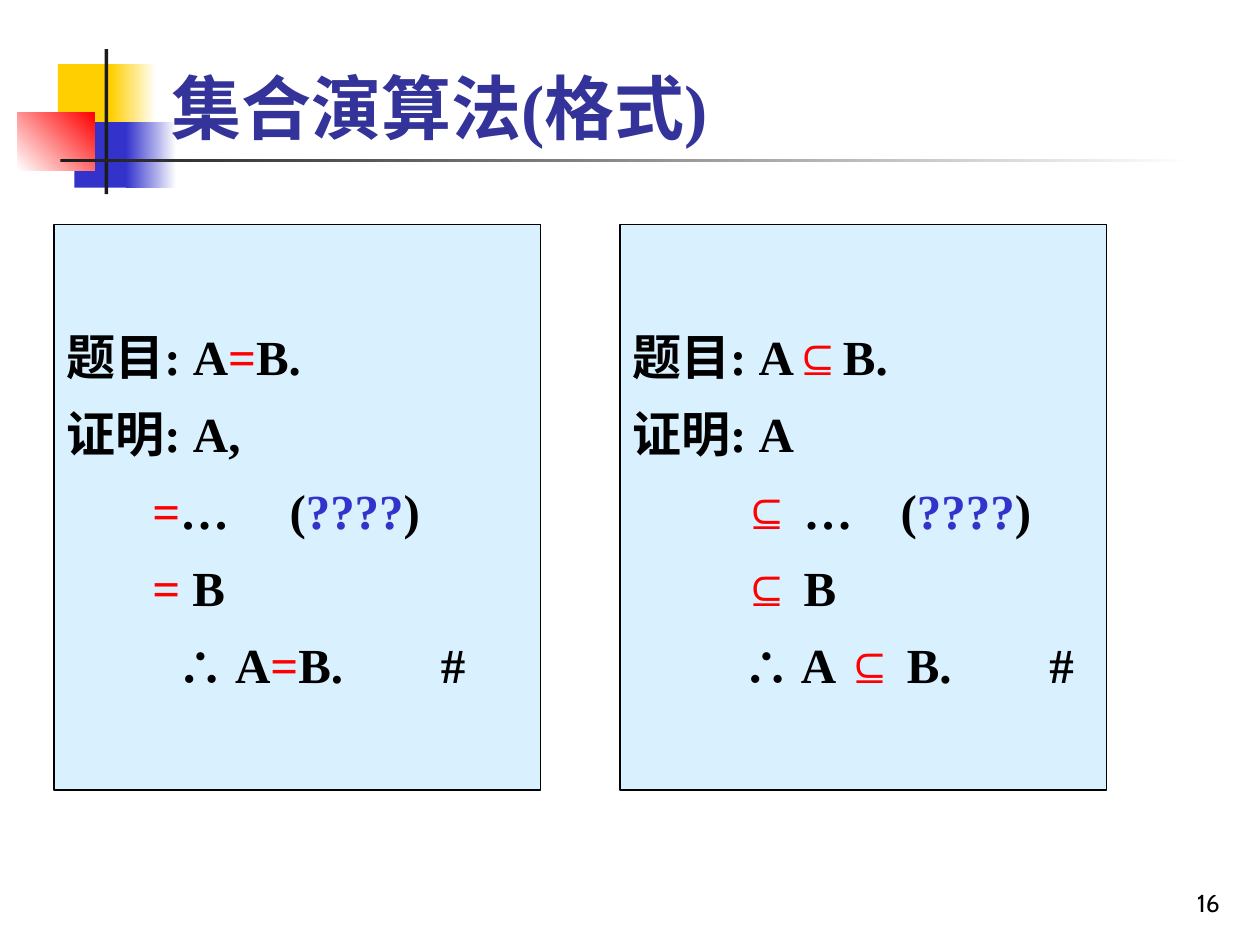
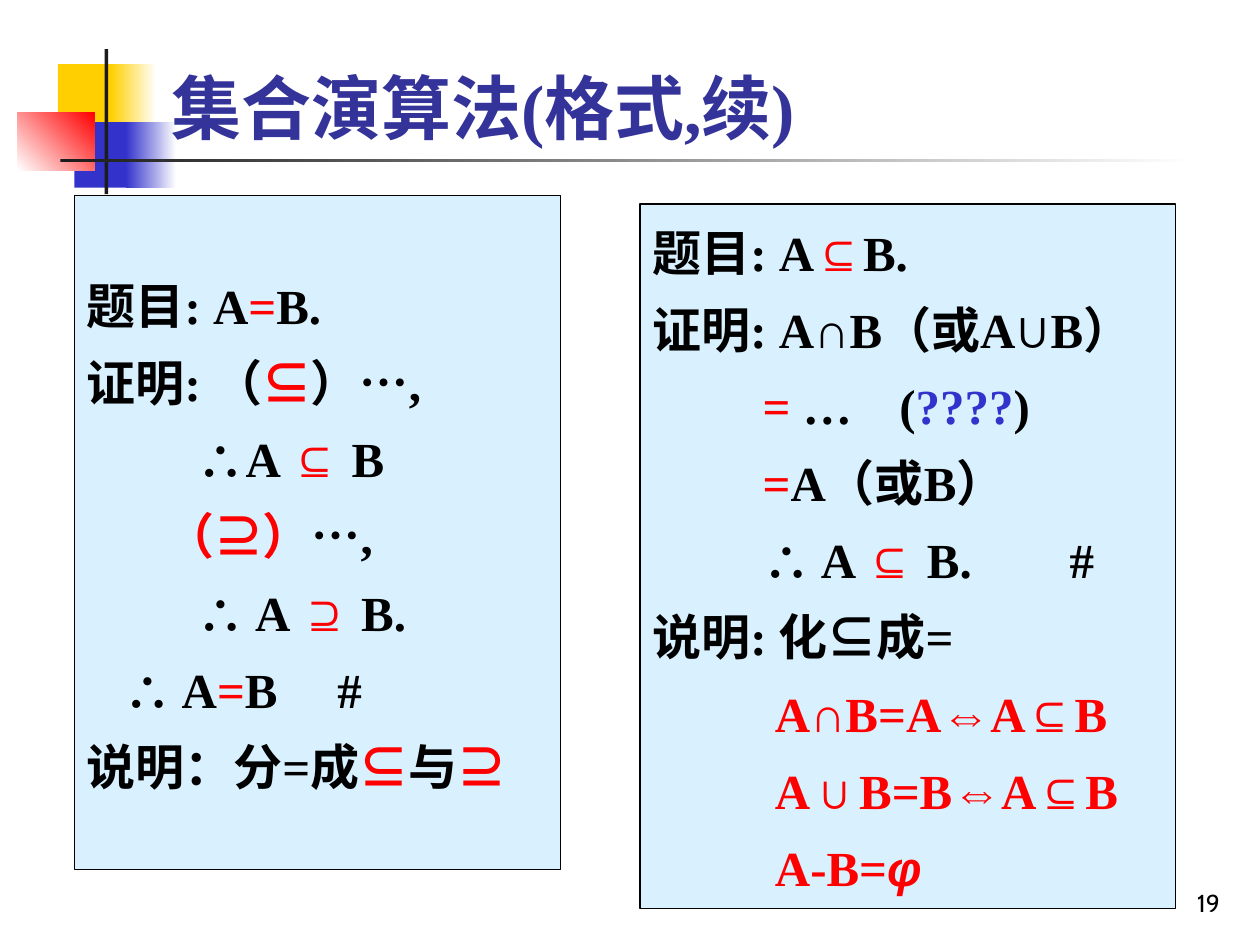
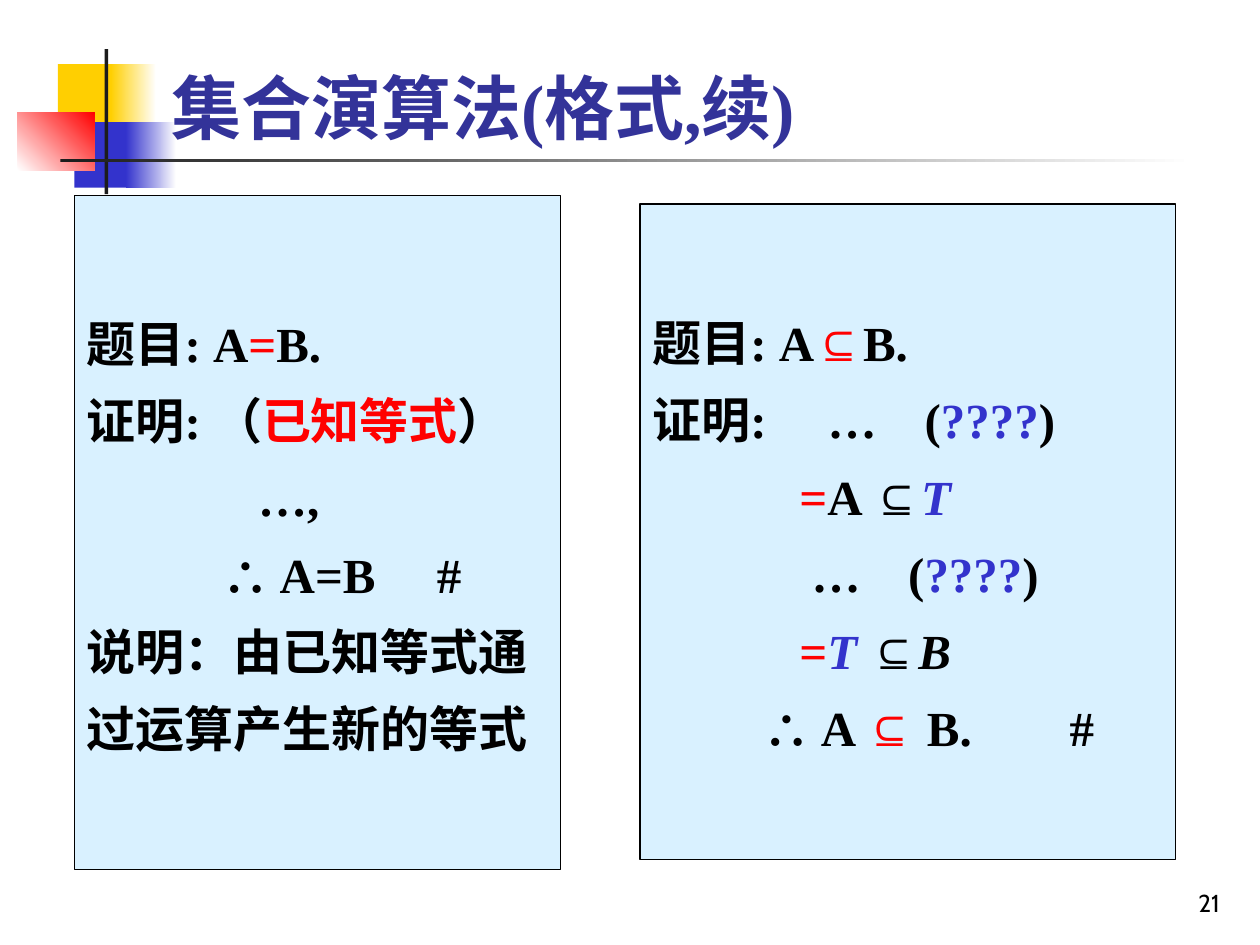
from lxml import etree
from pptx import Presentation
from pptx.dml.color import RGBColor
from pptx.enum.shapes import MSO_SHAPE
from pptx.enum.text import MSO_ANCHOR, MSO_AUTO_SIZE, PP_ALIGN
from pptx.oxml.ns import qn
from pptx.util import Inches, Pt

RECT = MSO_SHAPE.RECTANGLE
MIDDLE, BOTTOM = MSO_ANCHOR.MIDDLE, MSO_ANCHOR.BOTTOM
LEFT, RIGHT = PP_ALIGN.LEFT, PP_ALIGN.RIGHT
FIXED = MSO_AUTO_SIZE.NONE

THEME = {
    "black": "000000", "red": "FF0000", "blue": "3333CC", "gold": "FFCF01",
    "white": "FFFFFF", "dark": "1C1C1C", "title": "333399", "panel": "D9F1FF",
    "serif": "Times New Roman", "sans": "Arial", "page": "Cabin",
    "head": 40, "body": 28, "foot": 14, "step": 7,
}

STYLES = {
    "red": {"hue": "red"},
    "blue": {"hue": "blue"},
    "sym": {"face": "sans"},
    "redsym": {"face": "sans", "hue": "red"},
    "phi": {"face": "sans", "hue": "red", "italic": True},
    "ital": {"italic": True},
    "var": {"hue": "blue", "italic": True},
}


def color(name):
    return RGBColor.from_string(THEME[name])


def write(para, text, face="serif", size="body", hue="black", bold=True, italic=False):
    run = para.add_run()
    run.text = text
    font = run.font
    font.name = THEME[face]
    font.size = Pt(THEME[size])
    font.color.rgb = color(hue)
    font.bold = bold
    font.italic = italic


EQ = ("=", "red")
SUB = ("⊆", "redsym")
SUP = ("⊇", "redsym")
ASK = ("????", "blue")

GOAL_EQ = (0, [], ["题目: A", EQ, "B."])
GOAL_SUB = (0, [], ["题目: A", SUB, "B."])
END_SUB = (9, [3.31], ["∴ A ", SUB, " B.\t#"])

PAGES = [
    ("集合演算法(格式)", "16", [
        ((0.43, 1.78, 3.86, 4.49), [
            GOAL_EQ,
            (0, [], ["证明: A,"]),
            (7, [1.77], [EQ, "…\t(", ASK, ")"]),
            (7, [], [EQ, " B"]),
            (9, [2.97], ["∴ A", EQ, "B.\t#"]),
        ]),
        ((4.92, 1.78, 3.86, 4.49), [
            GOAL_SUB,
            (0, [], ["证明: A"]),
            (9, [2.13], [SUB, " …\t(", ASK, ")"]),
            (9, [], [SUB, " B"]),
            END_SUB,
        ]),
    ]),
    ("集合演算法(格式,续)", "19", [
        ((0.59, 1.55, 3.86, 5.35), [
            GOAL_EQ,
            (0, [], ["证明: （", SUB, "）…,"]),
            (9, [], ["∴A ", SUB, " B"]),
            (6.4, [], [("（", "red"), SUP, ("）", "red"), "…,"]),
            (9, [], ["∴ A ", SUP, " B."]),
            (3, [1.99], ["∴ A", EQ, "B\t#"]),
            (0, [], ["说明：分=成", SUB, "与", SUP]),
        ]),
        ((5.08, 1.62, 4.25, 5.59), [
            GOAL_SUB,
            (0, [], ["证明: A", ("∩", "sym"), "B（或A", ("∪", "sym"), "B）"]),
            (9, [1.96], [EQ, " …\t(", ASK, ")"]),
            (9, [], [EQ, "A（或B）"]),
            END_SUB,
            (0, [], ["说明: 化⊆成="]),
            (10, [], [("A∩B=A⇔A⊆B", "red")]),
            (10, [], [("A∪B=B⇔A⊆B", "red")]),
            (10, [], [("A-B=", "red"), ("φ", "phi")]),
        ]),
    ]),
    ("集合演算法(格式,续)", "21", [
        ((0.59, 1.55, 3.86, 5.35), [
            GOAL_EQ,
            (0, [], ["证明: （", ("已知等式", "red"), "）"]),
            (14, [], ["…,"]),
            (11, [2.78], ["∴ A=B\t#"]),
            (0, [], ["说明：由已知等式通"]),
            (0, [], ["过运算产生新的等式"]),
        ]),
        ((5.08, 1.62, 4.25, 5.2), [
            GOAL_SUB,
            (0, [1.39, 2.16], ["证明:\t…\t(", ASK, ")"]),
            (12, [], [EQ, "A ", ("⊆", "sym"), ("T", "var")]),
            (13, [2.03], ["…\t(", ASK, ")"]),
            (12, [], [EQ, ("T ", "var"), ("⊆", "sym"), ("B", "ital")]),
            END_SUB,
        ]),
    ]),
]

DECOR = [
    ((0.46, 0.51, 0.48, 0.52), ["gold"], 0),
    ((0.88, 0.51, 0.36, 0.52), ["gold", "white"], 0),
    ((0.59, 0.97, 0.46, 0.52), ["blue"], 0),
    ((1, 0.97, 0.4, 0.52), ["blue", "white"], 0),
    ((0.14, 0.89, 0.61, 0.46), ["white", "red"], 45),
    ((0.83, 0.39, 0.03, 1.15), ["dark"], 0),
    ((0.48, 1.26, 9, 0.03), ["dark", "white"], 0),
]

deck = Presentation()
deck.slide_width, deck.slide_height = Inches(10), Inches(7.5)
layout = deck.slide_layouts[5]
for holder in list(layout.placeholders)[1:]:
    layout.shapes.element.remove(holder.element)

slides = [deck.slides.add_slide(layout) for page in PAGES]

marks = []
for place, hues, angle in DECOR:
    mark = slides[0].shapes.add_shape(RECT, *map(Inches, place))
    mark.shadow.inherit = False
    mark.line.fill.background()
    if len(hues) == 1:
        mark.fill.solid()
        mark.fill.fore_color.rgb = color(hues[0])
    else:
        mark.fill.gradient()
        mark.fill.gradient_angle = angle
        for stop, hue in zip(mark.fill.gradient_stops, hues):
            stop.color.rgb = color(hue)
    marks.append(mark)
for mark in marks:
    layout.shapes.element.append(mark.element)

for slide, (name, number, panels) in zip(slides, PAGES):
    title = slide.shapes.title
    title.left, title.top = Inches(1.26), Inches(0.39)
    title.width, title.height = Inches(8.52), Inches(0.84)
    frame = title.text_frame
    frame.auto_size = FIXED
    frame.vertical_anchor = BOTTOM
    frame.paragraphs[0].alignment = LEFT
    write(frame.paragraphs[0], name, size="head", hue="title")

    foot = slide.shapes.add_textbox(Inches(7.7), Inches(6.83), Inches(2.08), Inches(0.5))
    frame = foot.text_frame
    frame.word_wrap = True
    frame.vertical_anchor = BOTTOM
    frame.paragraphs[0].alignment = RIGHT
    write(frame.paragraphs[0], number, face="page", size="foot", bold=False)

    for place, rows in panels:
        panel = slide.shapes.add_shape(RECT, *map(Inches, place))
        panel.shadow.inherit = False
        panel.fill.solid()
        panel.fill.fore_color.rgb = color("panel")
        panel.line.color.rgb = color("black")
        panel.line.width = Pt(0.75)
        frame = panel.text_frame
        frame.word_wrap = False
        frame.vertical_anchor = MIDDLE
        for row, (steps, tabs, parts) in enumerate(rows):
            para = frame.add_paragraph() if row else frame.paragraphs[0]
            para.alignment = LEFT
            para.line_spacing = 1.1
            para.space_before = Pt(7 if row else 0)
            props = para._p.get_or_add_pPr()
            inset = Pt(steps * THEME["step"])
            if tabs:
                stops = etree.SubElement(props, qn("a:tabLst"))
                places = [inset] * (steps > 0) + [Inches(tab) for tab in tabs]
                for spot in places:
                    etree.SubElement(stops, qn("a:tab"), pos=str(spot), algn="l")
                if steps:
                    write(para, "\t")
            else:
                props.set("marL", str(inset))
            for part in parts:
                text, style = (part, None) if isinstance(part, str) else part
                write(para, text, **STYLES.get(style, {}))

deck.save("out.pptx")
